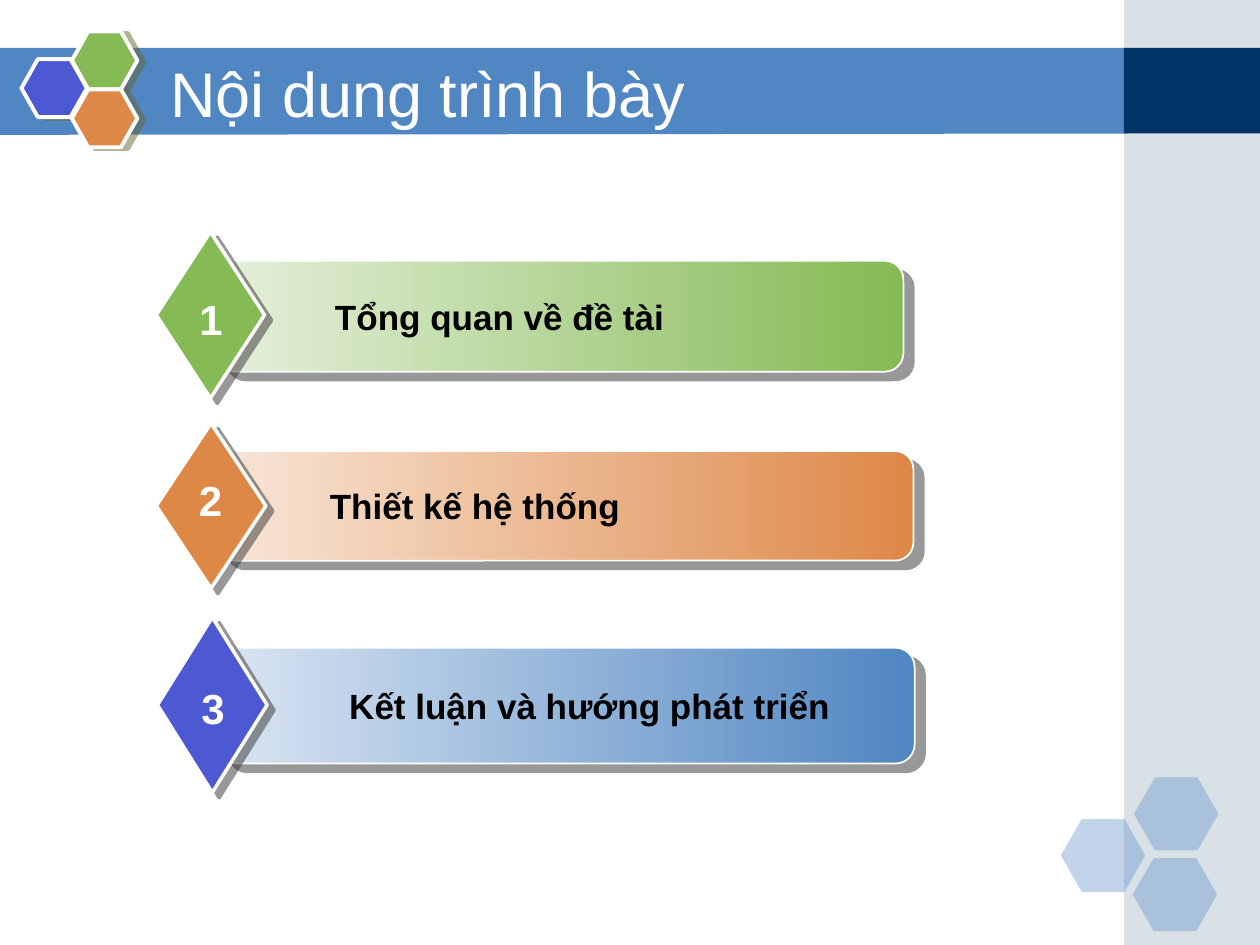
from lxml.etree import SubElement
from pptx import Presentation
from pptx.dml.color import RGBColor
from pptx.enum.shapes import MSO_SHAPE
from pptx.enum.text import MSO_ANCHOR, MSO_AUTO_SIZE, PP_ALIGN
from pptx.oxml.ns import qn
from pptx.util import Inches, Pt

WHITE = RGBColor(0xFF, 0xFF, 0xFF)
BLACK = RGBColor(0, 0, 0)
BLUE = RGBColor(0x50, 0x86, 0xC2)
NAVY = RGBColor(0x00, 0x33, 0x66)
GREY_BLUE = RGBColor(0xA0, 0xB5, 0xC4)
INDIGO = RGBColor(0x4C, 0x59, 0xD2)
GREEN = RGBColor(0x85, 0xBA, 0x54)
ORANGE = RGBColor(0xDE, 0x88, 0x48)
PALE_GREEN = RGBColor(0xE5, 0xF0, 0xDB)
PALE_ORANGE = RGBColor(0xF8, 0xE6, 0xD8)
PALE_BLUE = RGBColor(0xDA, 0xE5, 0xF2)
OLIVE = RGBColor(0x66, 0x66, 0x33)
CHARCOAL = RGBColor(0x33, 0x33, 0x33)

TITLE = "Nội dung trình bày"
BAND = [(-0.01, 0.38), (8.95, 0.38), (8.95, 1.06), (-0.01, 1.07)]
SIDE_PANELS = [((8.92, 0, 1.08, 7.5), GREY_BLUE, 40), ((8.92, 0.38, 1.08, 0.68), NAVY, 100)]
CORNER_HEXAGONS = [(8.42, 6.5), (9, 6.17), (8.99, 6.81)]
LOGO_HEXAGONS = [(0.17, 0.47, INDIGO), (0.57, 0.25, GREEN), (0.57, 0.71, ORANGE)]
AGENDA = [
    dict(number="1", text="Tổng quan về đề tài", pale=PALE_GREEN, strong=GREEN, accent=GREEN,
         bar=(1.72, 2.07, 5.45, 0.88), diamond=(1.24, 1.84, 0.86, 1.32),
         text_box=(1.64, 2.3, 4.65, 0.44), number_box=(1.4, 2.28, 0.55, 0.5)),
    dict(number="2", text="Thiết kế hệ thống", pale=PALE_ORANGE, strong=ORANGE, accent=ORANGE,
         bar=(1.72, 3.58, 5.53, 0.87), diamond=(1.24, 3.36, 0.87, 1.31),
         text_box=(1.59, 3.8, 4.36, 0.44), number_box=(1.48, 3.72, 0.38, 0.5)),
    dict(number="3", text="Kết luận và hướng phát triển", pale=PALE_BLUE, strong=BLUE, accent=INDIGO,
         bar=(1.73, 5.14, 5.53, 0.92), diamond=(1.25, 4.9, 0.87, 1.39),
         text_box=(2.12, 5.38, 5.12, 0.44), number_box=(1.44, 5.37, 0.5, 0.5)),
]
LOGO_SHADOW = (OLIVE, 4.1, 14)
BAR_SHADOW = (CHARCOAL, 7.8, 40)
DIAMOND_SHADOW = (CHARCOAL, 5, 37)


def set_alpha(color_element, percent):
    SubElement(color_element, qn("a:alpha"), val=str(percent * 1000))


def add_shadow(shape, color, distance, angle):
    effects = shape._element.spPr.find(qn("a:effectLst"))
    shadow = SubElement(effects, qn("a:outerShdw"), blurRad="0", dist=str(Pt(distance)),
                        dir=str(angle * 60000), algn="ctr", rotWithShape="0")
    set_alpha(SubElement(shadow, qn("a:srgbClr"), val=str(color)), 50)


def style_shape(shape, fill, alpha=100, line_width=None, shadow=None):
    if isinstance(fill, tuple) and not isinstance(fill, RGBColor):
        shape.fill.gradient()
        shape.fill.gradient_angle = 0
        for stop, color in zip(shape.fill.gradient_stops, fill):
            stop.color.rgb = color
    else:
        shape.fill.solid()
        shape.fill.fore_color.rgb = fill
        if alpha < 100:
            set_alpha(shape._element.spPr.find(f"{qn('a:solidFill')}/{qn('a:srgbClr')}"), alpha)
    if line_width:
        shape.line.color.rgb = WHITE
        shape.line.width = Pt(line_width)
    else:
        shape.line.fill.background()
    shape.shadow.inherit = False
    if shadow:
        add_shadow(shape, *shadow)


def add_preset(shapes, preset, box, fill, adjustment=None, **style):
    shape = shapes.add_shape(preset, *map(Inches, box))
    if adjustment is not None:
        shape.adjustments[0] = adjustment
    style_shape(shape, fill, **style)


def write_text(shape, text, size, color, bold=False, align=PP_ALIGN.LEFT,
               anchor=MSO_ANCHOR.TOP, wrap=True, auto_size=MSO_AUTO_SIZE.NONE):
    frame = shape.text_frame
    frame.word_wrap = wrap
    frame.auto_size = auto_size
    frame.vertical_anchor = anchor
    paragraph = frame.paragraphs[0]
    paragraph.text = text
    paragraph.alignment = align
    font = paragraph.runs[0].font
    font.name = "Arial"
    font.size = Pt(size)
    font.bold = bold
    font.color.rgb = color


def add_label(shapes, box, text, size, color, wrap=True):
    write_text(shapes.add_textbox(*map(Inches, box)), text, size, color, bold=True,
               align=PP_ALIGN.CENTER, wrap=wrap, auto_size=MSO_AUTO_SIZE.SHAPE_TO_FIT_TEXT)


def add_background(shapes):
    points = [(Inches(x), Inches(y)) for x, y in BAND]
    builder = shapes.build_freeform(*points[0])
    builder.add_line_segments(points[1:], close=True)
    style_shape(builder.convert_to_shape(), BLUE)
    for box, color, alpha in SIDE_PANELS:
        add_preset(shapes, MSO_SHAPE.RECTANGLE, box, color, alpha=alpha)
    for left, top in CORNER_HEXAGONS:
        add_preset(shapes, MSO_SHAPE.HEXAGON, (left, top, 0.67, 0.58), BLUE,
                   adjustment=0.286, alpha=35)
    logo = shapes.add_group_shape()
    for left, top, color in LOGO_HEXAGONS:
        add_preset(logo.shapes, MSO_SHAPE.HEXAGON, (left, top, 0.52, 0.46), color,
                   adjustment=0.283, line_width=2.25, shadow=LOGO_SHADOW)


def add_agenda_row(shapes, row):
    group = shapes.add_group_shape().shapes
    add_preset(group, MSO_SHAPE.ROUNDED_RECTANGLE, row["bar"], (row["pale"], row["strong"]),
               adjustment=0.167, line_width=1, shadow=BAR_SHADOW)
    add_preset(group, MSO_SHAPE.DIAMOND, row["diamond"], row["accent"],
               line_width=2, shadow=DIAMOND_SHADOW)
    add_label(group, row["text_box"], row["text"], 20, BLACK)
    add_label(group, row["number_box"], row["number"], 24, WHITE, wrap=False)


def main():
    presentation = Presentation()
    presentation.slide_width, presentation.slide_height = Inches(10), Inches(7.5)
    slide = presentation.slides.add_slide(presentation.slide_layouts[5])
    add_background(slide.shapes)
    title = slide.shapes.title
    title.left, title.top, title.width, title.height = map(Inches, (1.25, 0.42, 7.33, 0.62))
    write_text(title, TITLE, 36, WHITE, anchor=MSO_ANCHOR.MIDDLE)
    slide.shapes._spTree.append(title._element)
    for row in AGENDA:
        add_agenda_row(slide.shapes, row)
    presentation.save("out.pptx")


if __name__ == "__main__":
    main()
